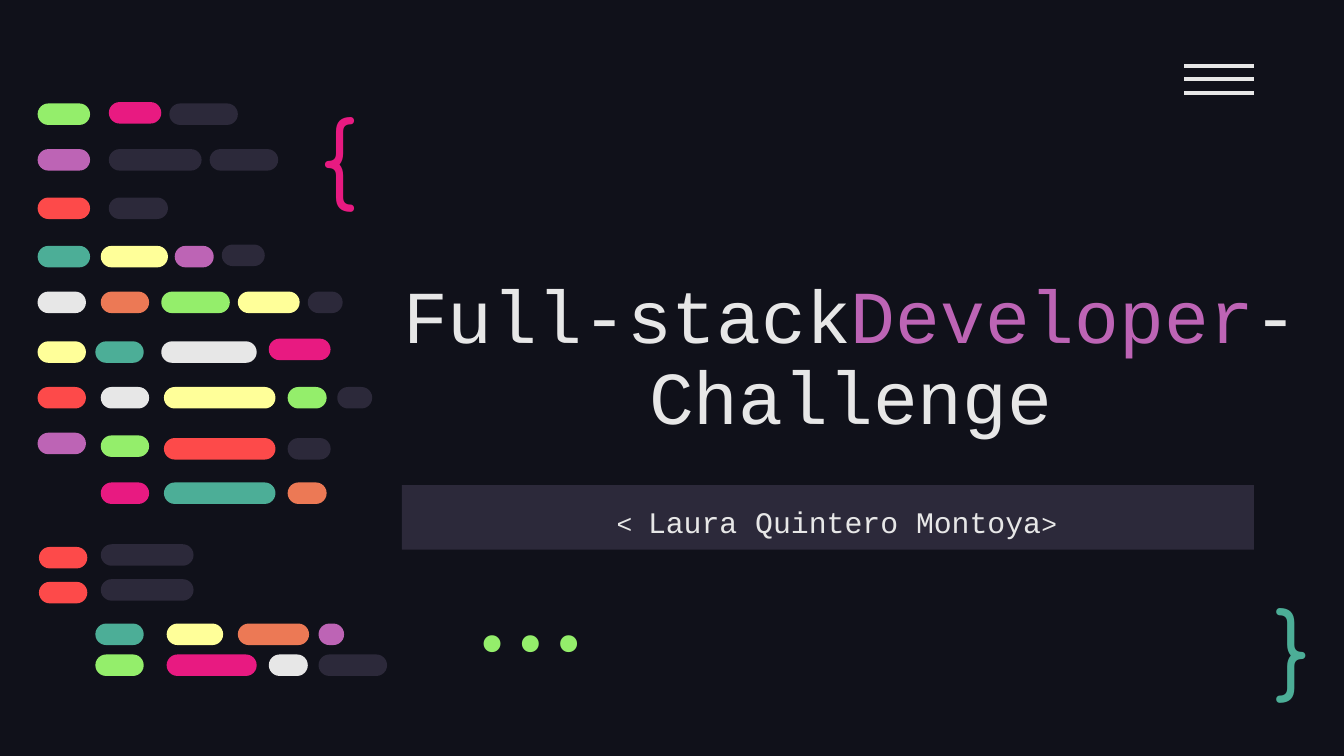
"""Build the cover slide of a full-stack developer challenge."""
import pptx
import pptx.dml.color
import pptx.enum.shapes
import pptx.enum.text
import pptx.oxml
import pptx.util
from pptx.util import Inches

SHAPE = pptx.enum.shapes.MSO_SHAPE
ALIGN = pptx.enum.text.PP_ALIGN
ANCHOR = pptx.enum.text.MSO_ANCHOR

COLORS = {
    "night": "10111A", "slate": "2C293A", "white": "E7E7E7", "purple": "BD64B5",
    "pink": "E81A81", "teal": "4CAE97", "green": "94EE6B", "red": "FD4A4A",
    "yellow": "FFFF99", "orange": "EC7955",
}

BAR_HEIGHT = 0.16
CODE_ROWS = [
    (0.77, [(0.28, 0.39, "green"), (1.26, 0.51, "slate")]),
    (0.76, [(0.81, 0.39, "pink")]),
    (1.11, [(0.28, 0.39, "purple"), (0.81, 0.69, "slate"), (1.56, 0.51, "slate")]),
    (1.47, [(0.28, 0.39, "red"), (0.81, 0.44, "slate")]),
    (1.83, [(0.28, 0.39, "teal"), (0.75, 0.5, "yellow"), (1.3, 0.29, "purple")]),
    (1.82, [(1.65, 0.32, "slate")]),
    (2.17, [(0.28, 0.36, "white"), (0.75, 0.36, "orange"), (1.2, 0.51, "green"),
            (1.77, 0.46, "yellow"), (2.29, 0.26, "slate")]),
    (2.54, [(0.28, 0.36, "yellow"), (0.71, 0.36, "teal"), (1.2, 0.71, "white")]),
    (2.52, [(2, 0.46, "pink")]),
    (2.88, [(0.28, 0.36, "red"), (0.75, 0.36, "white"), (1.22, 0.83, "yellow"),
            (2.14, 0.29, "green"), (2.51, 0.26, "slate")]),
    (3.22, [(0.28, 0.36, "purple")]),
    (3.24, [(0.75, 0.36, "green")]),
    (3.26, [(1.22, 0.83, "red"), (2.14, 0.32, "slate")]),
    (3.59, [(0.75, 0.36, "pink"), (1.22, 0.83, "teal"), (2.14, 0.29, "orange")]),
    (4.05, [(0.75, 0.69, "slate")]),
    (4.07, [(0.29, 0.36, "red")]),
    (4.31, [(0.75, 0.69, "slate")]),
    (4.33, [(0.29, 0.36, "red")]),
    (4.64, [(0.71, 0.36, "teal"), (1.24, 0.42, "yellow"), (1.77, 0.53, "orange"),
            (2.37, 0.19, "purple")]),
    (4.87, [(0.71, 0.36, "green"), (1.24, 0.67, "pink"), (2, 0.29, "white"),
            (2.37, 0.51, "slate")]),
]


def color(name):
    """Return the named colour as an RGB value."""
    return pptx.dml.color.RGBColor.from_string(COLORS[name])


def add_block(shapes, kind, place, fill):
    """Add a flat filled shape without outline or shadow."""
    block = shapes.add_shape(kind, *map(Inches, place))
    block.shadow.inherit = False
    block.fill.solid()
    block.fill.fore_color.rgb = color(fill)
    block.line.fill.background()
    return block


def write(box, spans, font, align=ALIGN.LEFT, anchor=ANCHOR.TOP, spacing=1.0):
    """Fill a box with one paragraph of (text, size, colour) spans."""
    frame = box.text_frame
    frame.word_wrap = True
    frame.vertical_anchor = anchor
    frame.margin_left = frame.margin_right = Inches(0.1)
    frame.margin_top = frame.margin_bottom = Inches(0.1)
    para = frame.paragraphs[0]
    para.alignment = align
    para.line_spacing = spacing
    for text, size, tint in spans:
        span = para.add_run()
        span.text = text
        span.font.name = font
        span.font.size = pptx.util.Pt(size)
        span.font.color.rgb = color(tint)


def add_text(page, place, spans, font, **layout):
    """Add a text box holding the given spans."""
    box = page.shapes.add_textbox(*map(Inches, place))
    write(box, spans, font, **layout)


def add_menu_icon(page):
    """Add the three stacked menu lines."""
    icon = page.shapes.add_group_shape()
    for index in range(3):
        height = Inches(0.49 + 0.1 * index)
        line = icon.shapes.add_connector(
            pptx.enum.shapes.MSO_CONNECTOR.STRAIGHT,
            Inches(8.81), height, Inches(9.33), height)
        line.line.color.rgb = color("white")
        line.line.width = pptx.util.Pt(2.25)
        properties = line._element.spPr
        properties.append(pptx.oxml.parse_xml(
            '<a:effectLst xmlns:a="http://schemas.openxmlformats.org/drawingml/2006/main"/>'))


def add_code_bars(page):
    """Add the rounded bars that suggest lines of code."""
    code = page.shapes.add_group_shape()
    for top, bars in CODE_ROWS:
        for left, width, fill in bars:
            bar = add_block(code.shapes, SHAPE.ROUNDED_RECTANGLE,
                            (left, top, width, BAR_HEIGHT), fill)
            bar.adjustments[0] = 0.5


def main():
    """Build and save the deck."""
    deck = pptx.Presentation()
    deck.slide_width = Inches(10)
    deck.slide_height = deck.slide_width * 9 // 16
    page = deck.slides.add_slide(deck.slide_layouts[6])
    page.background.fill.solid()
    page.background.fill.fore_color.rgb = color("night")

    add_text(page, (2.23, 1.15, 8.2, 2.23),
             [("Full-stack", 40, "white"), ("Developer", 40, "purple"),
              ("-Challenge", 40, "white")],
             "Courier New", align=ALIGN.CENTER, anchor=ANCHOR.BOTTOM, spacing=0.9)
    banner = add_block(page.shapes, SHAPE.RECTANGLE, (2.99, 3.61, 6.34, 0.48), "slate")
    write(banner,
          [(" ", 16, "white"), ("< ", 14, "white"),
           ("Laura Quintero Montoya", 16, "white"), (">", 14, "white")],
          "Courier New", align=ALIGN.CENTER, spacing=1.15)
    add_text(page, (2.29, 0.62, 0.77, 0.95), [("{", 50, "pink")], "Comfortaa")
    add_text(page, (9.39, 4.38, 0.57, 0.83), [("}", 50, "teal")], "Comfortaa",
             anchor=ANCHOR.MIDDLE)
    add_text(page, (3.11, 4.49, 1.58, 0.6), [("...", 50, "green")], "Fira Code",
             align=ALIGN.RIGHT, anchor=ANCHOR.BOTTOM)
    add_menu_icon(page)
    add_code_bars(page)
    deck.save("out.pptx")


if __name__ == "__main__":
    main()
